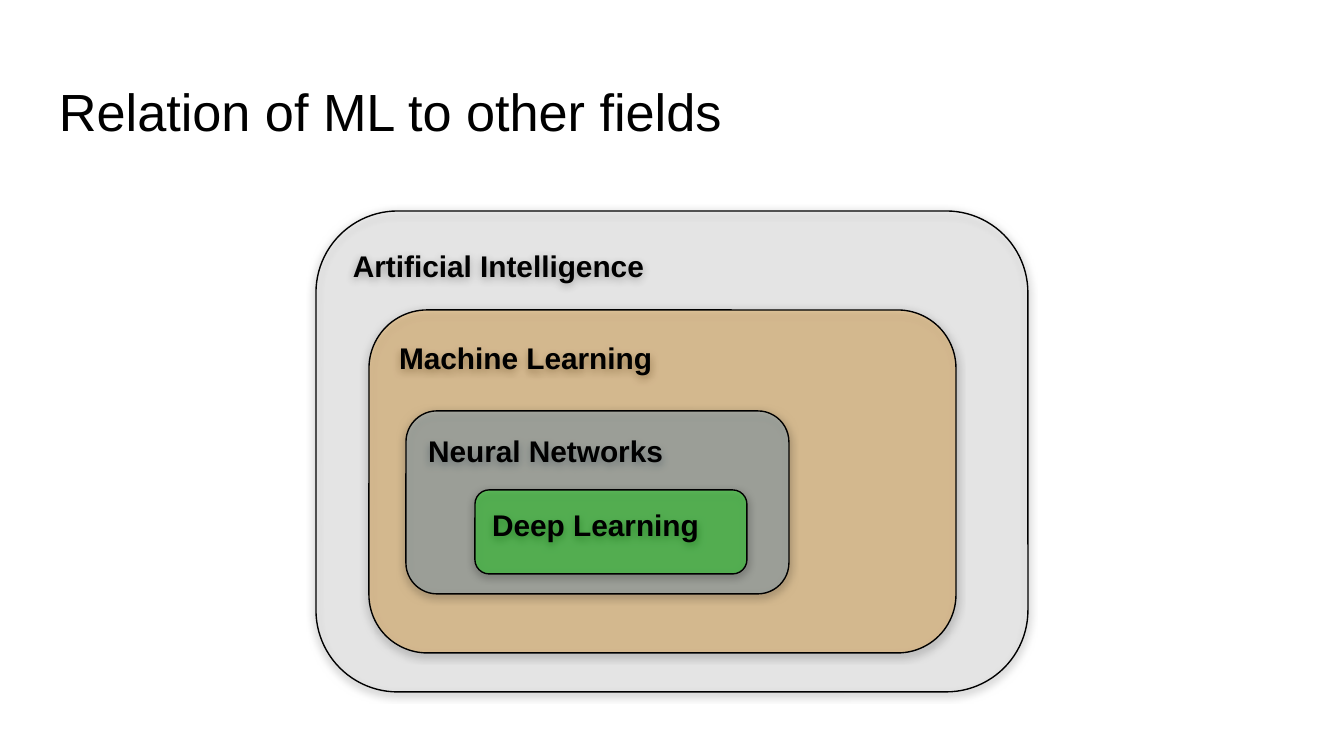
from lxml import etree
from pptx import Presentation
from pptx.dml.color import RGBColor
from pptx.enum.shapes import MSO_SHAPE
from pptx.enum.text import MSO_ANCHOR, PP_ALIGN
from pptx.oxml.ns import qn
from pptx.util import Emu, Pt

ROUNDED = MSO_SHAPE.ROUNDED_RECTANGLE
TOP = MSO_ANCHOR.TOP
LEFT = PP_ALIGN.LEFT

BLACK = RGBColor(0x00, 0x00, 0x00)
GREY = RGBColor(0xEE, 0xEE, 0xEE)
ORANGE = RGBColor(0xFF, 0x99, 0x00)
BLUE = RGBColor(0x6F, 0xA8, 0xDC)
GREEN = RGBColor(0x00, 0xFF, 0x00)

# Content: the fields run from the widest to the narrowest
TITLE = "Relation of ML to other fields"
TITLE_BOX = (46, 66, 1252, 85)
FIELDS = [  # label, (left, top, width, height) in px, colour, opacity %
    ("Artificial Intelligence", (316, 211, 712, 481), GREY, 23),
    ("Machine Learning", (369, 310, 587, 343), ORANGE, 27),
    ("Neural Networks", (406, 411, 383, 183), BLUE, 32),
    ("Deep Learning", (475, 490, 272, 84), GREEN, 35),
]
PADDING = 13


def px(length):
    return Emu(round(length * 914400 / 134.4))


def write(frame, text, size=16, bold=False):
    frame.word_wrap = True
    frame.vertical_anchor = TOP
    frame.margin_left = frame.margin_right = px(PADDING)
    frame.margin_top = frame.margin_bottom = px(PADDING)
    paragraph = frame.paragraphs[0]
    paragraph.alignment = LEFT
    run = paragraph.add_run()
    run.text = text
    run.font.name = "Arial"
    run.font.size = Pt(size)
    run.font.bold = bold
    run.font.color.rgb = BLACK


def set_opacity(colour, percent):
    etree.SubElement(colour, qn("a:alpha"), val=str(percent * 1000))


def add_shadow(field):
    field.shadow.inherit = False
    effects = field._element.spPr.find(qn("a:effectLst"))
    shadow = etree.SubElement(
        effects, qn("a:outerShdw"), blurRad=str(Pt(4.5)), dist=str(Pt(1.5)),
        dir="5400000", algn="bl", rotWithShape="0")
    colour = etree.SubElement(shadow, qn("a:srgbClr"), val=str(BLACK))
    set_opacity(colour, 50)


def add_field(slide, label, box, colour, opacity):
    field = slide.shapes.add_shape(ROUNDED, *map(px, box))
    field.adjustments[0] = 0.17
    field.fill.solid()
    field.fill.fore_color.rgb = colour
    set_opacity(field._element.spPr.find(qn("a:solidFill"))[0], opacity)
    field.line.color.rgb = BLACK
    field.line.width = Pt(0.75)
    add_shadow(field)
    write(field.text_frame, label, bold=True)


def main():
    deck = Presentation()
    deck.slide_width, deck.slide_height = px(1344), px(756)
    slide = deck.slides.add_slide(deck.slide_layouts[6])

    # Title
    title = slide.shapes.add_textbox(*map(px, TITLE_BOX))
    write(title.text_frame, TITLE, size=28)

    # Nested fields
    for field in FIELDS:
        add_field(slide, *field)

    deck.save("out.pptx")


if __name__ == "__main__":
    main()
